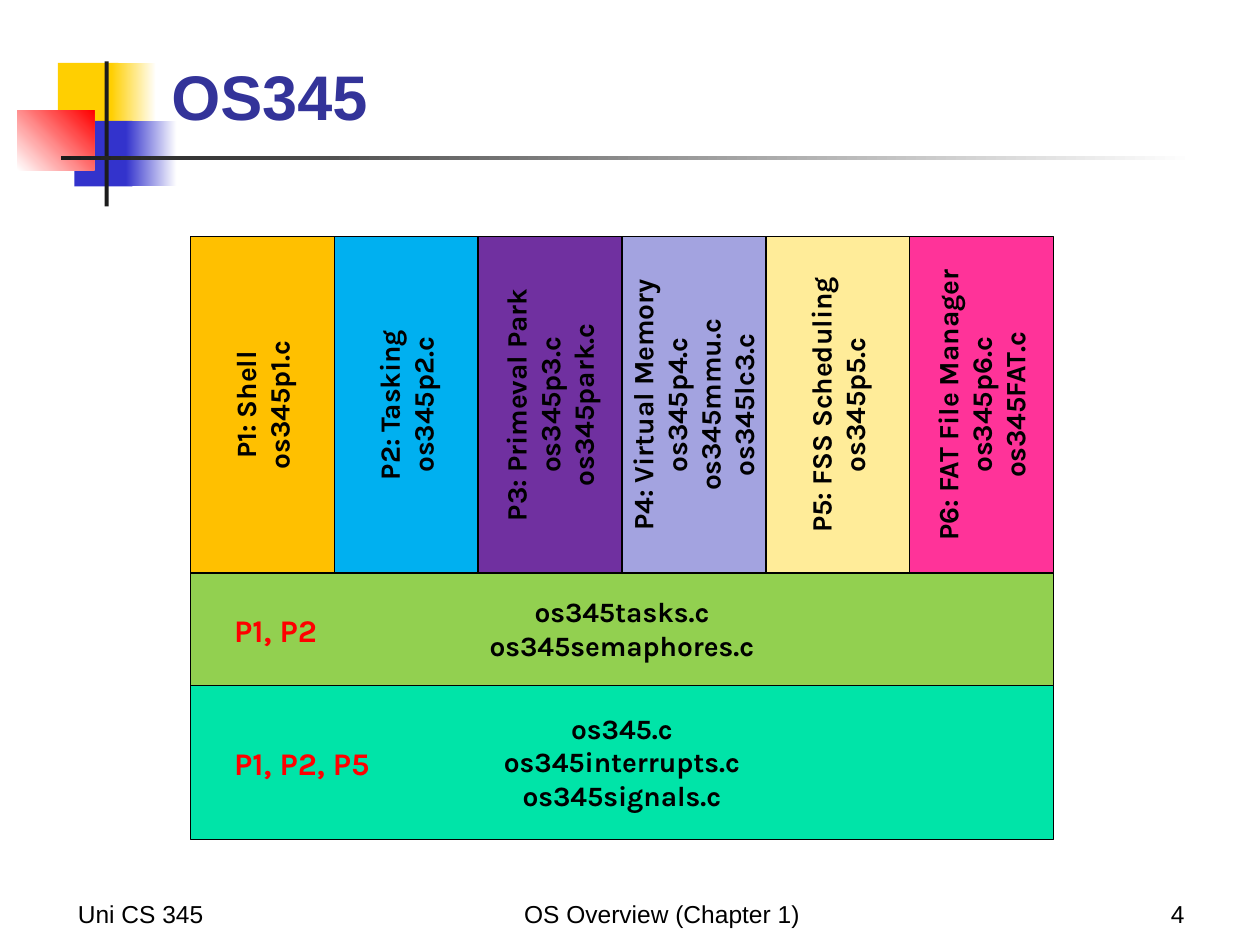
from dataclasses import dataclass

from pptx import Presentation
from pptx.dml.color import RGBColor
from pptx.enum import shapes, text
from pptx.util import Cm, Pt

BLACK = RGBColor(0x00, 0x00, 0x00)
WHITE = RGBColor(0xFF, 0xFF, 0xFF)
CHARCOAL = RGBColor(0x1C, 0x1C, 0x1C)
YELLOW = RGBColor(0xFF, 0xCF, 0x01)
BLUE = RGBColor(0x33, 0x33, 0xCC)
RED = RGBColor(0xFF, 0x00, 0x00)
NAVY = RGBColor(0x33, 0x33, 0x99)
AMBER = RGBColor(0xFF, 0xC0, 0x00)
SKY = RGBColor(0x00, 0xB0, 0xF0)
PURPLE = RGBColor(0x70, 0x30, 0xA0)
LAVENDER = RGBColor(0xA3, 0xA3, 0xE0)
CREAM = RGBColor(0xFF, 0xEC, 0x99)
PINK = RGBColor(0xFF, 0x33, 0x99)
GREEN = RGBColor(0x92, 0xD0, 0x50)
TEAL = RGBColor(0x00, 0xE4, 0xA8)

LEFT, RIGHT, CENTER = text.PP_ALIGN.LEFT, text.PP_ALIGN.RIGHT, text.PP_ALIGN.CENTER
TOP, MIDDLE, BOTTOM = text.MSO_ANCHOR.TOP, text.MSO_ANCHOR.MIDDLE, text.MSO_ANCHOR.BOTTOM

GRID_LEFT, GRID_TOP = 3.84, 4.77
COLUMN_WIDTH, COLUMN_HEIGHT = 2.9, 6.78
LINE_HEIGHT, INSETS = 0.69, 0.25


@dataclass
class Area:
    """A rectangle on the page, in centimetres."""
    left: float
    top: float
    width: float
    height: float

    def lengths(self) -> tuple:
        """Return left, top, width and height as lengths."""
        return Cm(self.left), Cm(self.top), Cm(self.width), Cm(self.height)


@dataclass
class Style:
    """The look of a piece of text."""
    size: float
    font: str = "Karla"
    color: RGBColor = BLACK
    bold: bool = True
    align: int = CENTER
    anchor: int = TOP


@dataclass
class Ornament:
    """A borderless bar, fading from color to end when end is given."""
    area: Area
    color: RGBColor
    end: RGBColor | None = None
    angle: float = 0


@dataclass
class Block:
    """A coloured block of the diagram with its lines of text."""
    color: RGBColor
    label: str


@dataclass
class Band(Block):
    """A full-width block with a note of the projects that use it."""
    height: float
    note: str
    note_area: Area


ORNAMENTS = [
    Ornament(Area(1.17, 1.27, 1.22, 1.32), YELLOW),
    Ornament(Area(2.24, 1.27, 0.91, 1.32), YELLOW, WHITE),
    Ornament(Area(1.5, 2.44, 1.17, 1.32), BLUE),
    Ornament(Area(2.54, 2.44, 1.02, 1.32), BLUE, WHITE),
    Ornament(Area(0.35, 2.23, 1.55, 1.2), WHITE, RED, 45),
    Ornament(Area(2.11, 1.24, 0.08, 2.92), CHARCOAL),
    Ornament(Area(1.23, 3.15, 22.86, 0.08), CHARCOAL, WHITE),
]
PROJECTS = [
    Block(AMBER, "P1: Shell\nos345p1.c"),
    Block(SKY, "P2: Tasking\nos345p2.c"),
    Block(PURPLE, "P3: Primeval Park\nos345p3.c\nos345park.c"),
    Block(LAVENDER, "P4: Virtual Memory\nos345p4.c\nos345mmu.c\nos345lc3.c"),
    Block(CREAM, "P5: FSS Scheduling\nos345p5.c"),
    Block(PINK, "P6: FAT File Manager\nos345p6.c\nos345FAT.c"),
]
BANDS = [
    Band(GREEN, "os345tasks.c\nos345semaphores.c", 2.27,
         "P1, P2", Area(4.47, 12.19, 2.67, 1.02)),
    Band(TEAL, "os345.c\nos345interrupts.c\nos345signals.c", 3.1,
         "P1, P2, P5", Area(4.47, 14.88, 4.17, 1.02)),
]
FOOTERS = [
    ("Uni CS 345", Area(1.32, 17.58, 5.28, 1.27), LEFT),
    ("OS Overview (Chapter 1)", Area(9.32, 17.58, 8.05, 1.27), CENTER),
    ("4", Area(18.85, 17.58, 5.28, 1.27), RIGHT),
]
BLOCK_STYLE = Style(16)
NOTE_STYLE = Style(18, color=RED, align=LEFT)
TITLE_STYLE = Style(36, "Arial", NAVY, align=LEFT, anchor=MIDDLE)


def write(box, wording: str, style: Style) -> None:
    """Put styled wording into a box, one paragraph a line."""
    frame = box.text_frame
    frame.text = wording
    frame.word_wrap = True
    frame.auto_size = text.MSO_AUTO_SIZE.NONE
    frame.vertical_anchor = style.anchor
    for para in frame.paragraphs:
        para.alignment = style.align
        for span in para.runs:
            span.font.name = style.font
            span.font.size = Pt(style.size)
            span.font.bold = style.bold
            span.font.color.rgb = style.color


def add_text(page, area: Area, wording: str, style: Style):
    """Add a text box and return it."""
    box = page.shapes.add_textbox(*area.lengths())
    write(box, wording, style)
    return box


def add_rectangle(page, area: Area, color: RGBColor):
    """Add a plain filled rectangle without a shadow."""
    box = page.shapes.add_shape(shapes.MSO_SHAPE.RECTANGLE, *area.lengths())
    box.shadow.inherit = False
    box.fill.solid()
    box.fill.fore_color.rgb = color
    return box


def add_ornament(page, ornament: Ornament) -> None:
    """Add one bar of the title decoration."""
    box = add_rectangle(page, ornament.area, ornament.color)
    box.line.fill.background()
    if ornament.end is not None:
        box.fill.gradient()
        box.fill.gradient_angle = ornament.angle
        for stop, color in zip(box.fill.gradient_stops, (ornament.color, ornament.end)):
            stop.color.rgb = color


def add_block(page, area: Area, block: Block, text_width: float, rotation: float = 0) -> None:
    """Add an outlined block with its label centred on it."""
    box = add_rectangle(page, area, block.color)
    box.line.color.rgb = BLACK
    box.line.width = Pt(0.75)
    height = LINE_HEIGHT * len(block.label.splitlines()) + INSETS
    label_area = Area(area.left + (area.width - text_width) / 2,
                      area.top + (area.height - height) / 2, text_width, height)
    add_text(page, label_area, block.label, BLOCK_STYLE).rotation = rotation


def build() -> None:
    """Build the page and save the deck."""
    deck = Presentation()
    deck.slide_width, deck.slide_height = Cm(25.4), Cm(19.05)
    page = deck.slides.add_slide(deck.slide_layouts[5])

    for ornament in ORNAMENTS:
        add_ornament(page, ornament)
    title = page.shapes.title
    title.left, title.top, title.width, title.height = Area(3.2, 0.89, 21.64, 2.06).lengths()
    write(title, "OS345", TITLE_STYLE)
    for wording, area, align in FOOTERS:
        add_text(page, area, wording, Style(14, "Arial", bold=False, align=align, anchor=BOTTOM))

    for index, project in enumerate(PROJECTS):
        area = Area(GRID_LEFT + index * COLUMN_WIDTH, GRID_TOP, COLUMN_WIDTH, COLUMN_HEIGHT)
        add_block(page, area, project, 6.55, 270)
    top = GRID_TOP + COLUMN_HEIGHT
    for band in BANDS:
        area = Area(GRID_LEFT, top, COLUMN_WIDTH * len(PROJECTS), band.height)
        add_block(page, area, band, 9.47)
        add_text(page, band.note_area, band.note, NOTE_STYLE)
        top += band.height

    deck.save("out.pptx")


build()
